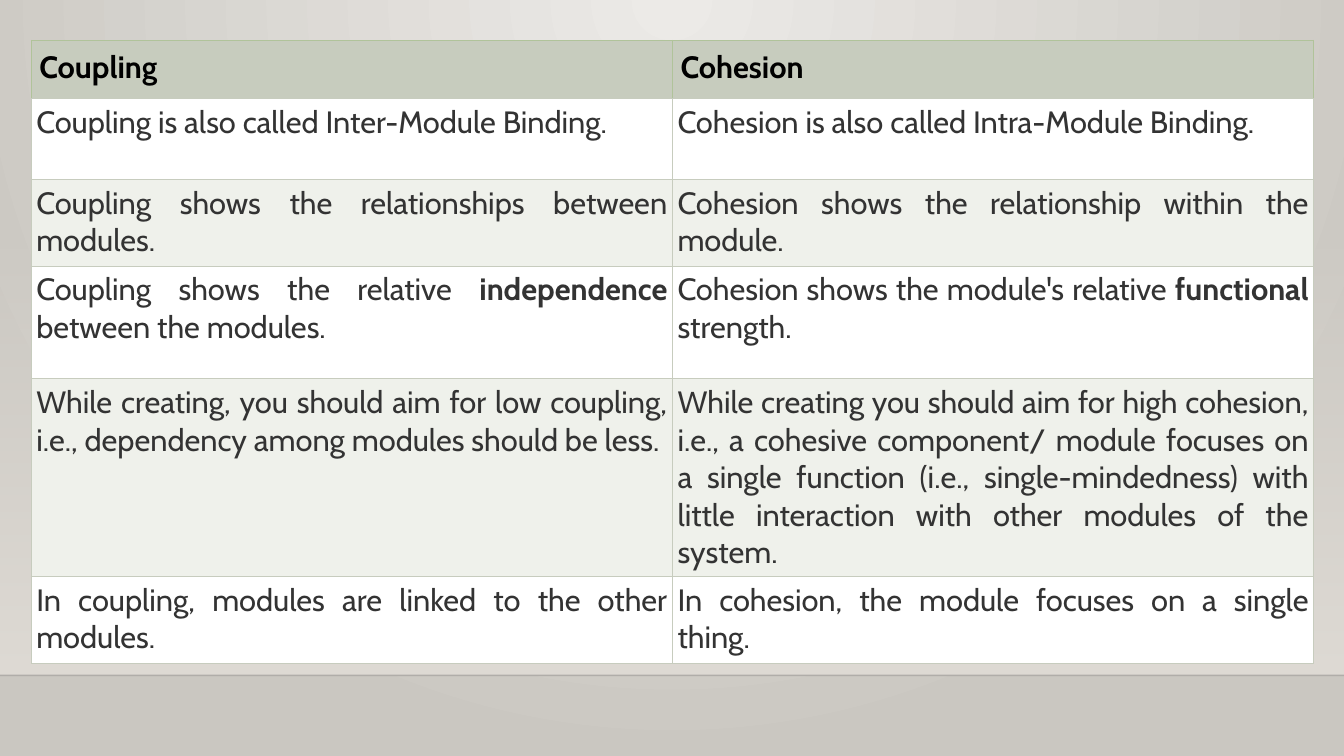
from lxml import etree
from pptx import Presentation
from pptx.dml.color import RGBColor
from pptx.enum import shapes, text
from pptx.oxml.ns import qn
from pptx.util import Inches, Pt

HEADINGS = ("Coupling", "Cohesion")
# Each cell is a tuple of runs; every second run is bold.
COMPARISONS = [
    (("Coupling is also called Inter-Module Binding.",),
     ("Cohesion is also called Intra-Module Binding.",)),
    (("Coupling shows the relationships between modules.",),
     ("Cohesion shows the relationship within the module.",)),
    (("Coupling shows the relative ", "independence", " between the modules."),
     ("Cohesion shows the module's relative ", "functional", " strength.")),
    (("While creating, you should aim for low coupling, i.e., dependency "
      "among modules should be less.",),
     ("While creating you should aim for high cohesion, i.e., a cohesive "
      "component/ module focuses on a single function (i.e., "
      "single-mindedness) with little interaction with other modules of "
      "the system.",)),
    (("In coupling, modules are linked to the other modules.",),
     ("In cohesion, the module focuses on a single thing.",)),
]
ROW_HEIGHTS = [0.58, 0.8, 0.86, 1.12, 1.76, 0.86]
COLUMN_WIDTH = 6.36
FLOOR_TOP = 6.7
FONT, FONT_SIZE = "Cabin", Pt(22)
COLORS = {
    "glow": "ECEAE7", "edge": "CAC7C1", "wall": "DFDBD5", "floor_line": "000001",
    "heading": "000000", "body": "333333",
    "header": "C7CCBE", "plain": "FFFFFF", "band": "EFF1EB",
    "grid": "C7CCBE", "header_grid": "B0C39A",
}


def rgb(name):
    return RGBColor.from_string(COLORS[name])


def set_gradient(fill, start, end):
    fill.gradient()
    for stop, name in zip(fill.gradient_stops, (start, end)):
        stop.color.rgb = rgb(name)


def set_opacity(element, percent):
    """Make the first RGB colour inside element partly transparent."""
    color = next(element.iter(qn("a:srgbClr")))
    etree.SubElement(color, qn("a:alpha"), val=str(percent * 1000))


def set_borders(cell, sides):
    """Draw cell borders; sides maps L, R, T, B to colour names."""
    properties = cell._tc.get_or_add_tcPr()
    for position, side in enumerate("LRTB"):
        line = etree.Element(qn(f"a:ln{side}"), w=str(Pt(0.75)))
        solid = etree.SubElement(line, qn("a:solidFill"))
        etree.SubElement(solid, qn("a:srgbClr"), val=COLORS[sides[side]])
        properties.insert(position, line)


def fill_cell(cell, runs, fill, margin, color, sides):
    cell.fill.solid()
    cell.fill.fore_color.rgb = rgb(fill)
    cell.margin_left = cell.margin_right = Inches(margin)
    cell.margin_top = cell.margin_bottom = Inches(margin)
    paragraph = cell.text_frame.paragraphs[0]
    paragraph.font.name, paragraph.font.size = FONT, FONT_SIZE
    for number, words in enumerate(runs):
        run = paragraph.add_run()
        run.text = words
        run.font.name, run.font.size = FONT, FONT_SIZE
        run.font.bold = fill == "header" or number % 2 == 1
        run.font.color.rgb = rgb(color)
    set_borders(cell, sides)
    return paragraph


def add_backdrop(slide, width):
    set_gradient(slide.background.fill, "glow", "edge")
    linear = next(slide.element.iter(qn("a:lin")))
    circle = etree.Element(qn("a:path"), path="circle")
    etree.SubElement(circle, qn("a:fillToRect"),
                     l="43000", t="0", r="43000", b="100000")
    linear.getparent().replace(linear, circle)

    wall = slide.shapes.add_shape(shapes.MSO_SHAPE.RECTANGLE, 0, Inches(2.21),
                                  width, Inches(FLOOR_TOP - 2.21))
    wall.shadow.inherit = False
    wall.line.fill.background()
    set_gradient(wall.fill, "wall", "wall")
    wall.fill.gradient_angle = 270
    set_opacity(wall._element.spPr, 0)

    floor_line = slide.shapes.add_connector(
        shapes.MSO_CONNECTOR.STRAIGHT, 0, Inches(FLOOR_TOP), width, Inches(FLOOR_TOP))
    floor_line.line.color.rgb = rgb("floor_line")
    floor_line.line.width = Pt(1)
    set_opacity(floor_line._element.spPr, 20)
    etree.SubElement(floor_line._element.spPr, qn("a:effectLst"))


def add_comparison(slide):
    table = slide.shapes.add_table(
        len(ROW_HEIGHTS), len(HEADINGS), Inches(0.31), Inches(0.4),
        Inches(COLUMN_WIDTH * len(HEADINGS)), Inches(sum(ROW_HEIGHTS))).table
    for column in table.columns:
        column.width = Inches(COLUMN_WIDTH)
    for row, height in zip(table.rows, ROW_HEIGHTS):
        row.height = Inches(height)

    header_sides = {**dict.fromkeys("LRT", "header_grid"), "B": "grid"}
    for column, heading in enumerate(HEADINGS):
        fill_cell(table.cell(0, column), (heading,), "header", 0.08,
                  "heading", header_sides)
    for row, pair in enumerate(COMPARISONS, start=1):
        fill = "plain" if row % 2 else "band"
        for column, runs in enumerate(pair):
            paragraph = fill_cell(table.cell(row, column), runs, fill, 0.05,
                                  "body", dict.fromkeys("LRTB", "grid"))
            paragraph.alignment = text.PP_ALIGN.JUSTIFY


def main():
    deck = Presentation()
    deck.slide_width, deck.slide_height = Inches(13.33), Inches(7.5)
    slide = deck.slides.add_slide(deck.slide_layouts[6])
    add_backdrop(slide, deck.slide_width)
    add_comparison(slide)
    deck.save("out.pptx")


if __name__ == "__main__":
    main()
